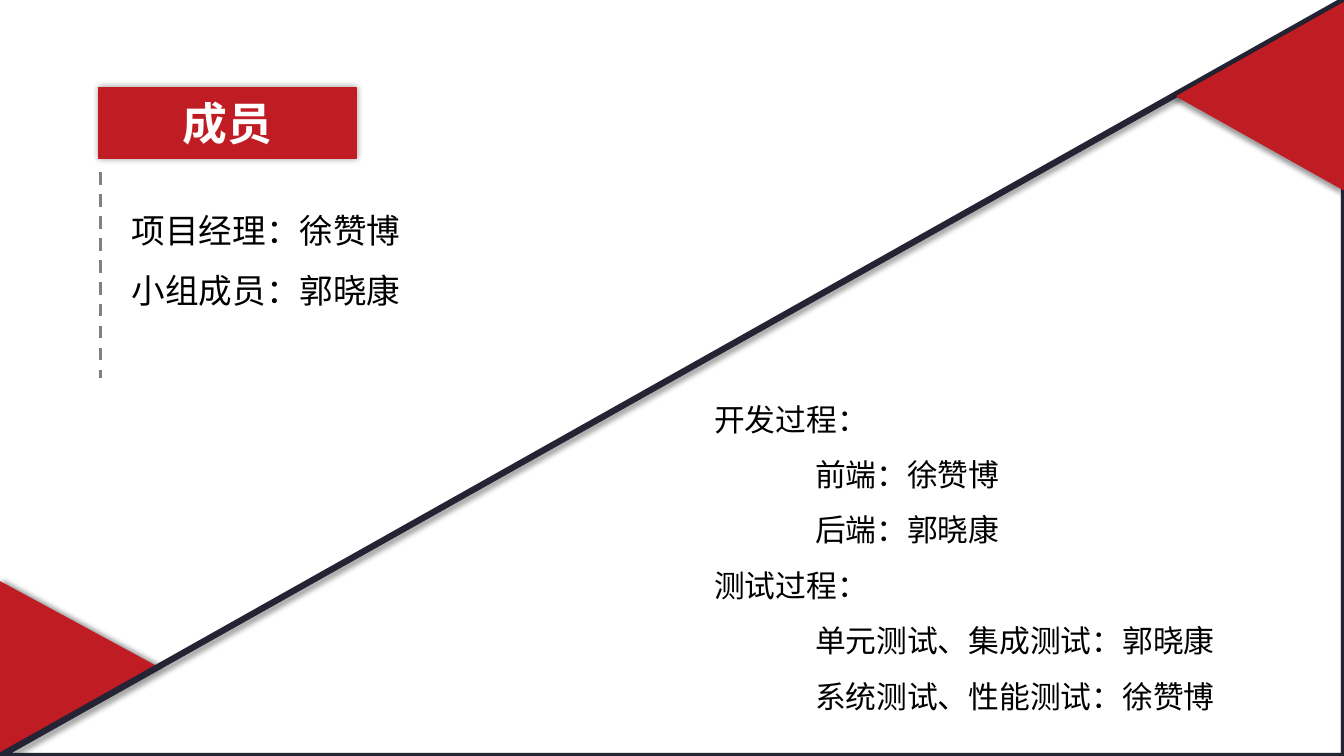
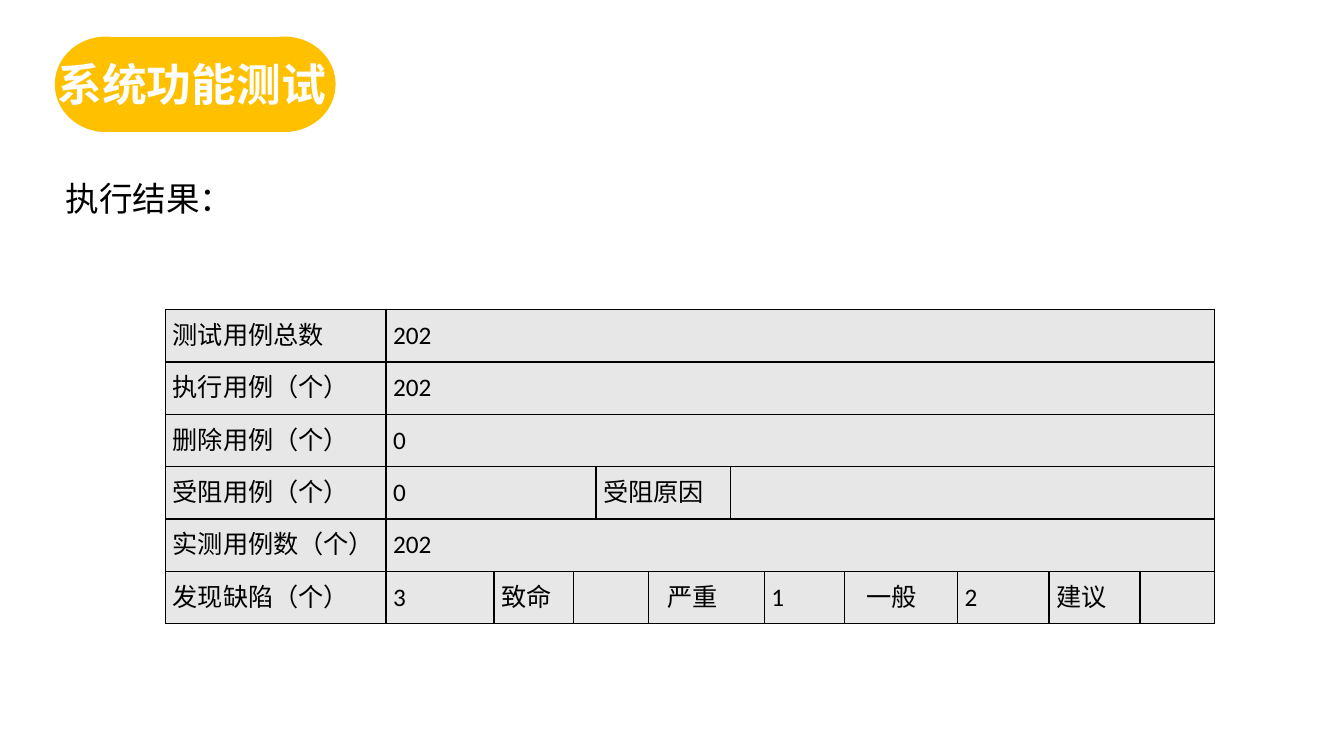
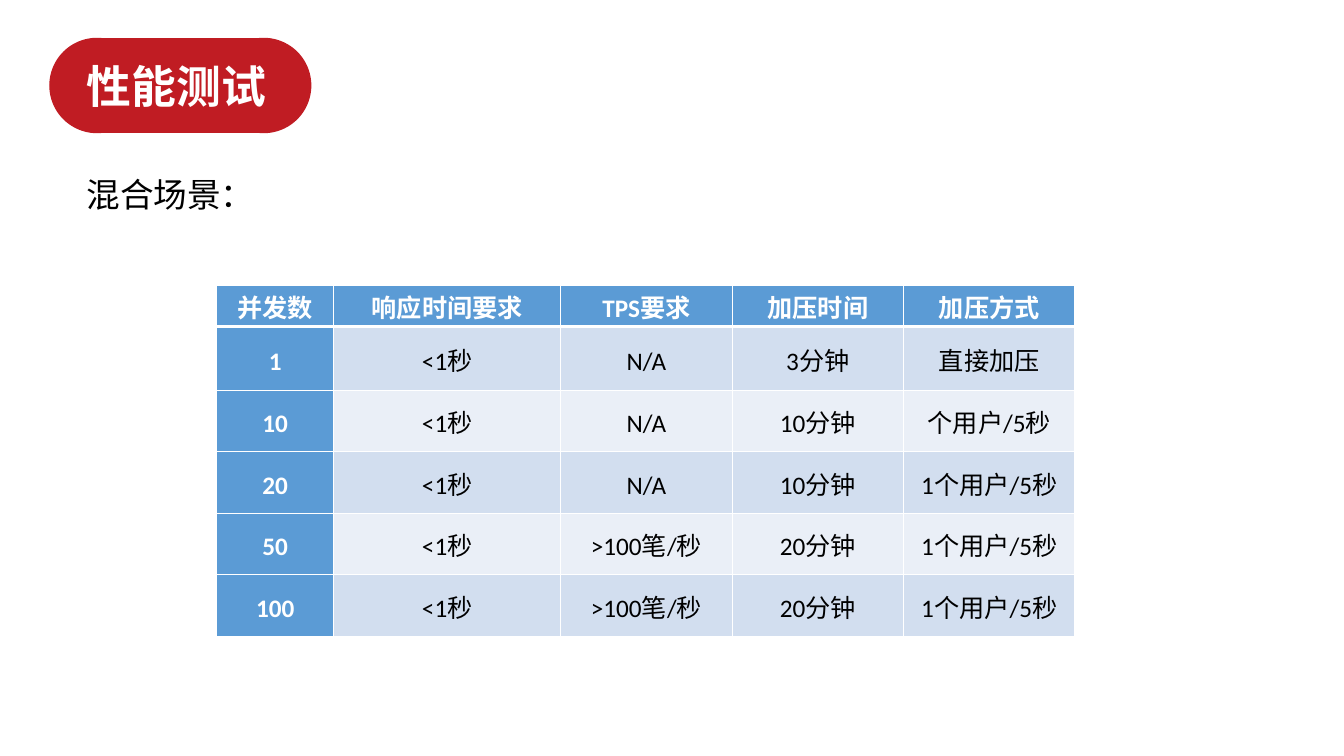
from lxml.etree import SubElement
from pptx import Presentation
from pptx.dml.color import RGBColor
from pptx.enum.dml import MSO_LINE
from pptx.enum.shapes import MSO_CONNECTOR, MSO_SHAPE
from pptx.enum.text import MSO_ANCHOR, MSO_AUTO_SIZE, PP_ALIGN
from pptx.oxml.ns import qn
from pptx.util import Cm, Pt

COLORS = {
    "red": "C01C23", "navy": "252434", "amber": "FFC000", "gray": "808080",
    "white": "FFFFFF", "black": "000000", "result": "E7E7E7",
    "header": "5B9BD5", "band_dark": "D2DEEF", "band_light": "EAEFF7",
}
SLIDE_W, SLIDE_H = 33.87, 19.05
CELL_MARGIN = 0.18
INDENT = 2.54

MEMBERS_TITLE = "成员"
MEMBERS = ["项目经理：徐赞博", "小组成员：郭晓康"]
DUTIES = [
    "开发过程：",
    ("前端：徐赞博", INDENT),
    ("后端：郭晓康", INDENT),
    "测试过程：",
    ("单元测试、集成测试：郭晓康", INDENT),
    ("系统测试、性能测试：徐赞博", INDENT),
]

FUNCTION_TITLE = "系统功能测试"
RESULT_LABEL = "执行结果："
RESULT_WIDTHS = [5.56, 2.72, 2.01, 0.56, 1.32, 2.08, 0.84, 2.03, 2.84, 2.31, 2.29, 1.88]
RESULT_ROW_H = 1.32
RESULTS = [
    [("测试用例总数", 1), ("202", 11)],
    [("执行用例（个）", 1), ("202", 11)],
    [("删除用例（个）", 1), ("0", 11)],
    [("受阻用例（个）", 1), ("0", 3), ("受阻原因", 2), ("", 6)],
    [("实测用例数（个）", 1), ("202", 11)],
    [("发现缺陷（个）", 1), ("3", 1), ("致命", 1), ("", 2), (("严重", 0.3), 2),
     ("1", 1), (("一般", 0.36), 1), ("2", 1), ("建议", 1), ("", 1)],
]

LOAD_TITLE = "性能测试"
LOAD_LABEL = "混合场景："
LOAD_WIDTHS = [2.95, 5.72, 4.32, 4.32, 4.32]
LOAD_HEIGHTS = [1.04, 1.6] + [1.55] * 4
LOADS = [
    ["并发数", "响应时间要求", "TPS要求", "加压时间", "加压方式"],
    ["1", "<1秒", "N/A", "3分钟", "直接加压"],
    ["10", "<1秒", "N/A", "10分钟", "个用户/5秒"],
    ["20", "<1秒", "N/A", "10分钟", "1个用户/5秒"],
    ["50", "<1秒", ">100笔/秒", "20分钟", "1个用户/5秒"],
    ["100", "<1秒", ">100笔/秒", "20分钟", "1个用户/5秒"],
]


def rgb(name):
    return RGBColor.from_string(COLORS[name])


def write(frame, lines, size=24, font="Calibri", color="black", bold=False,
          align=PP_ALIGN.LEFT, spacing=None):
    for number, line in enumerate(lines):
        text, indent = line if isinstance(line, tuple) else (line, 0)
        paragraph = frame.add_paragraph() if number else frame.paragraphs[0]
        paragraph.alignment = align
        if spacing:
            paragraph.line_spacing = spacing
        if indent:
            paragraph._p.get_or_add_pPr().set("marL", str(Cm(indent)))
        if not text:
            paragraph.font.size = Pt(size)
            continue
        run = paragraph.add_run()
        run.text = text
        run.font.size, run.font.bold, run.font.name = Pt(size), bold, font
        run.font.color.rgb = rgb(color)
        SubElement(run._r.get_or_add_rPr(), qn("a:ea"), typeface=font)


def fit(frame):
    frame.word_wrap = True
    frame.auto_size = MSO_AUTO_SIZE.NONE
    frame.vertical_anchor = MSO_ANCHOR.TOP


def add_text(slide, box, lines, **style):
    frame = slide.shapes.add_textbox(*map(Cm, box)).text_frame
    fit(frame)
    write(frame, lines, **style)


def place_title(slide, box, text, align=PP_ALIGN.LEFT):
    title = slide.shapes.title
    title.left, title.top, title.width, title.height = map(Cm, box)
    fit(title.text_frame)
    write(title.text_frame, [text], size=32, font="Arial", color="white", bold=True, align=align)
    slide.shapes.element.append(title.element)


def add_shadow(shape, blur, distance, angle):
    effects = shape.element.spPr.find(qn("a:effectLst"))
    shadow = SubElement(effects, qn("a:outerShdw"), blurRad=str(Pt(blur)), dist=str(Pt(distance)),
                        dir=str(angle * 60000), algn="ctr", rotWithShape="0")
    tint = SubElement(shadow, qn("a:srgbClr"), val=COLORS["black"])
    SubElement(tint, qn("a:alpha"), val="40000")


def add_figure(slide, kind, box, fill=None, line=None, weight=1, rotation=0, shadow=None):
    shape = slide.shapes.add_shape(kind, *map(Cm, box))
    shape.shadow.inherit = False
    shape.rotation = rotation
    if fill:
        shape.fill.solid()
        shape.fill.fore_color.rgb = rgb(fill)
    else:
        shape.fill.background()
    shape.line.color.rgb = rgb(line or fill)
    shape.line.width = Pt(weight)
    if shadow:
        add_shadow(shape, *shadow)
    return shape


def add_pill(slide, left, top, width, cap, color):
    height = 2.37
    for x in (left, left + width - cap):
        add_figure(slide, MSO_SHAPE.OVAL, (x, top, cap, height), color)
    add_figure(slide, MSO_SHAPE.RECTANGLE, (left + cap / 2, top, width - cap, height), color)


def add_grid(slide, left, top, widths, heights):
    table = slide.shapes.add_table(len(heights), len(widths), Cm(left), Cm(top),
                                   Cm(sum(widths)), Cm(sum(heights))).table
    table.first_row = table.horz_banding = False
    for column, width in zip(table.columns, widths):
        column.width = Cm(width)
    for row, height in zip(table.rows, heights):
        row.height = Cm(height)
    return table


def style_cell(cell, fill, border, top=1, bottom=1):
    cell.vertical_anchor = MSO_ANCHOR.MIDDLE
    cell.margin_left = cell.margin_right = Cm(CELL_MARGIN)
    cell.margin_top = cell.margin_bottom = 0
    for side, weight in (("L", 1), ("R", 1), ("T", top), ("B", bottom)):
        edge = SubElement(cell._tc.get_or_add_tcPr(), qn("a:ln" + side), w=str(Pt(weight)))
        SubElement(SubElement(edge, qn("a:solidFill")), qn("a:srgbClr"), val=COLORS[border])
    cell.fill.solid()
    cell.fill.fore_color.rgb = rgb(fill)


def build_members(slide):
    add_text(slide, (17.75, 9.5, 15.8, 9.5), DUTIES, size=22, font="Arial", spacing=1.5)
    add_text(slide, (3.07, 4.65, 10.08, 3.1), MEMBERS, font="Arial", spacing=1.5)
    add_figure(slide, MSO_SHAPE.ISOSCELES_TRIANGLE, (-0.2, 14.81, 4.32, 3.99), "red",
               rotation=90, shadow=(4, 3, 0))
    diagonal = add_figure(slide, MSO_SHAPE.RIGHT_TRIANGLE, (0, 0, SLIDE_W, SLIDE_H),
                          line="navy", weight=4.5, shadow=(4, 3, 45))
    diagonal.element.spPr.find(qn("a:xfrm")).set("flipH", "1")
    add_figure(slide, MSO_SHAPE.ISOSCELES_TRIANGLE, (29.41, 0.33, 4.7, 4.19), "red",
               rotation=270, shadow=(4, 3, 135))
    add_figure(slide, MSO_SHAPE.RECTANGLE, (2.49, 2.21, 6.48, 1.78), "red", shadow=(5, 0, 0))
    rule = slide.shapes.add_connector(MSO_CONNECTOR.STRAIGHT, Cm(2.54), Cm(4.34), Cm(2.54), Cm(9.53))
    rule.line.color.rgb = rgb("gray")
    rule.line.width = Pt(2.25)
    rule.line.dash_style = MSO_LINE.DASH
    SubElement(rule.element.spPr, qn("a:effectLst"))
    place_title(slide, (2.77, 2.29, 5.92, 1.63), MEMBERS_TITLE, PP_ALIGN.CENTER)


def build_results(slide):
    add_pill(slide, 1.4, 0.94, 7.04, 2.54, "amber")
    place_title(slide, (1.19, 1.3, 7.49, 1.63), FUNCTION_TITLE)
    add_text(slide, (1.4, 4.37, 27.94, 1.27), [RESULT_LABEL])
    table = add_grid(slide, 4.17, 7.8, RESULT_WIDTHS, [RESULT_ROW_H] * len(RESULTS))
    for cell in table.iter_cells():
        style_cell(cell, "result", "black")
    for r, entries in enumerate(RESULTS):
        c = 0
        for text, span in entries:
            cell = table.cell(r, c)
            if span > 1:
                cell.merge(table.cell(r, c + span - 1))
            write(cell.text_frame, [text], size=18, align=PP_ALIGN.JUSTIFY)
            c += span


def build_loads(slide):
    add_pill(slide, 1.26, 0.97, 6.57, 2.37, "red")
    place_title(slide, (1.93, 1.35, 5.92, 1.63), LOAD_TITLE)
    add_text(slide, (1.93, 3.76, 24.94, 1.63), [LOAD_LABEL], spacing=1.5)
    table = add_grid(slide, 5.46, 7.19, LOAD_WIDTHS, LOAD_HEIGHTS)
    for r, entries in enumerate(LOADS):
        band = "band_dark" if r % 2 else "band_light"
        for c, text in enumerate(entries):
            heading = r == 0 or c == 0
            cell = table.cell(r, c)
            style_cell(cell, "header" if heading else band, "white",
                       top=3 if r == 1 else 1, bottom=3 if r == 0 else 1)
            write(cell.text_frame, [text], size=18, color="white" if heading else "black",
                  bold=heading, align=PP_ALIGN.CENTER, spacing=1.2)


def main():
    deck = Presentation()
    deck.slide_width, deck.slide_height = Cm(SLIDE_W), Cm(SLIDE_H)
    for build in (build_members, build_results, build_loads):
        build(deck.slides.add_slide(deck.slide_layouts[5]))
    deck.save("out.pptx")


if __name__ == "__main__":
    main()
